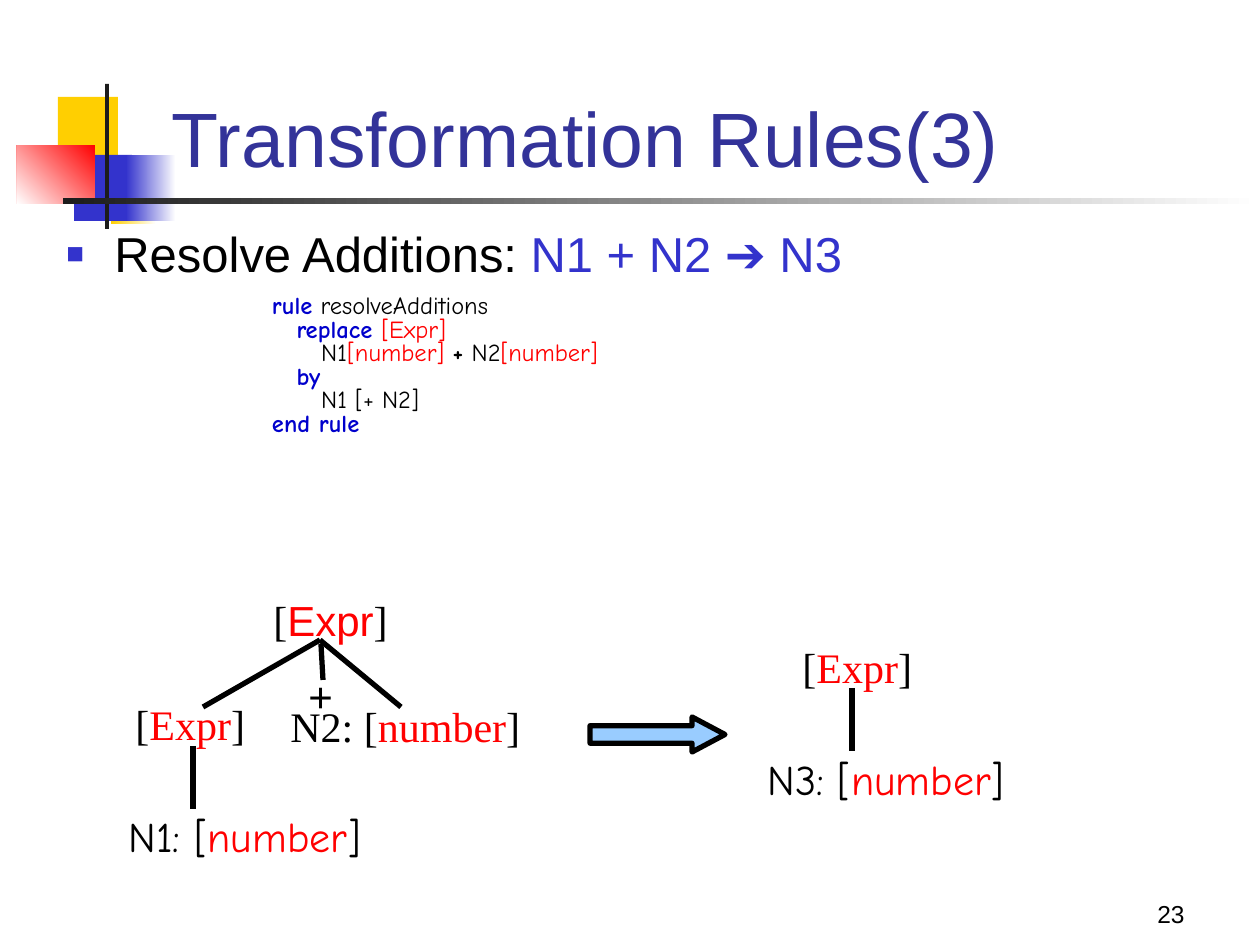
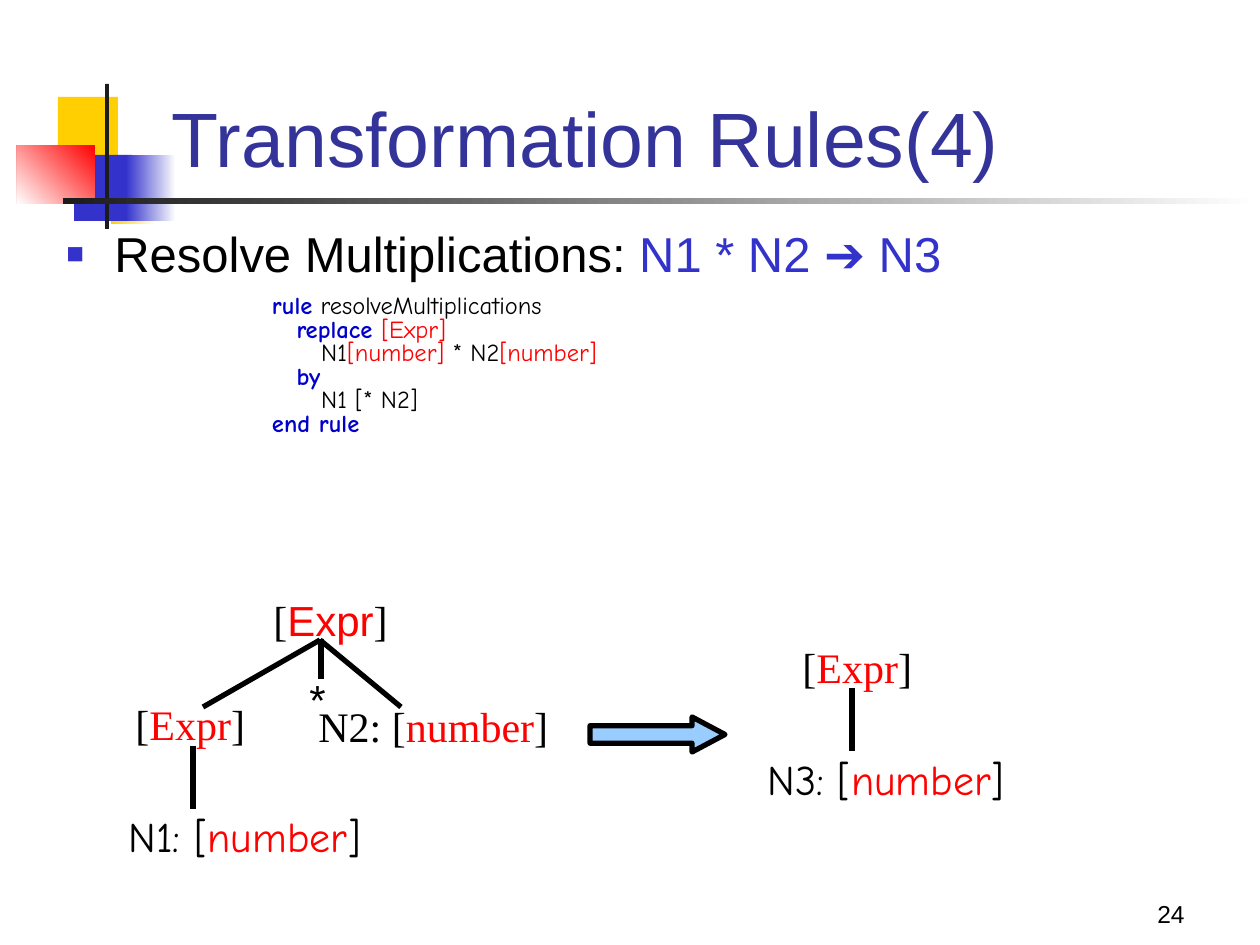
from dataclasses import dataclass
from typing import NamedTuple

from lxml import etree
from pptx import Presentation
from pptx import util as u
from pptx.dml.color import RGBColor
from pptx.enum import shapes, text
from pptx.oxml import ns

PX_PER_INCH = 126
ARIAL, COMIC, TIMES = "Arial", "Comic Neue", "Times New Roman"

BLACK = RGBColor(0x00, 0x00, 0x00)
WHITE = RGBColor(0xFF, 0xFF, 0xFF)
CHARCOAL = RGBColor(0x1C, 0x1C, 0x1C)
YELLOW = RGBColor(0xFF, 0xCF, 0x01)
RED = RGBColor(0xFF, 0x00, 0x00)
BLUE = RGBColor(0x33, 0x33, 0xCC)
TITLE_BLUE = RGBColor(0x33, 0x33, 0x99)
KEYWORD_BLUE = RGBColor(0x00, 0x00, 0xCC)
ARROW_BLUE = RGBColor(0x99, 0xCC, 0xFF)


class Box(NamedTuple):
    left: int
    top: int
    width: int
    height: int


class Edge(NamedTuple):
    x1: int
    y1: int
    x2: int
    y2: int


class Span(NamedTuple):
    text: str
    color: RGBColor | None = None
    bold: bool | None = None
    font: str | None = None


class Band(NamedTuple):
    box: Box
    color: RGBColor
    fade_to: RGBColor | None = None
    angle: int = 180


class Node(NamedTuple):
    box: Box
    prefix: str
    kind: str
    font: str = TIMES
    kind_font: str | None = None


@dataclass(frozen=True)
class Rule:
    number: int
    title: str
    heading: str
    name: str
    symbol: str
    symbol_bold: bool
    symbol_box: Box
    stem: Edge
    second_left: int


BANDS = (
    Band(Box(58, 97, 60, 66), YELLOW),
    Band(Box(111, 159, 45, 65), WHITE, YELLOW),
    Band(Box(74, 155, 58, 66), BLUE),
    Band(Box(126, 155, 50, 66), WHITE, BLUE),
    Band(Box(17, 145, 78, 59), RED, WHITE, 225),
    Band(Box(105, 84, 4, 145), CHARCOAL),
    Band(Box(63, 198, 1197, 6), WHITE, CHARCOAL),
)
TITLE_BOX = Box(159, 16, 1073, 173)
NUMBER_BOX = Box(935, 872, 262, 63)
HEADING_BOX = Box(54, 224, 1171, 69)
CODE_BOX = Box(272, 296, 499, 199)
ARROW_BOX = Box(590, 717, 135, 35)
BULLET_INDENT = 48

NODES = (
    Node(Box(790, 635, 135, 63), "", "Expr"),
    Node(Box(755, 747, 262, 63), "N3: ", "number", COMIC),
    Node(Box(261, 588, 140, 63), "", "Expr", kind_font=ARIAL),
    Node(Box(123, 692, 135, 63), "", "Expr"),
    Node(Box(116, 804, 257, 63), "N1: ", "number", COMIC),
)
EDGES = (
    Edge(852, 688, 852, 751),
    Edge(320, 640, 203, 707),
    Edge(193, 746, 193, 809),
    Edge(320, 640, 401, 707),
)
RULES = (
    Rule(23, "Transformation Rules(3)", "Resolve Additions: ", "resolveAdditions",
         "+", True, Box(296, 664, 59, 63), Edge(321, 644, 323, 680), 278),
    Rule(24, "Transformation Rules(4)", "Resolve Multiplications: ", "resolveMultiplications",
         "*", False, Box(297, 667, 59, 63), Edge(321, 639, 321, 679), 306),
)


def px(length: int) -> int:
    return round(length * u.Inches(1) / PX_PER_INCH)


def scaled(lengths: tuple[int, ...]) -> list[int]:
    return [px(length) for length in lengths]


def fill_para(para, spans: list[Span], font: str, size: int,
              color: RGBColor = BLACK, spacing: float | None = None) -> None:
    if spacing:
        para.line_spacing = spacing
    para.font.name = font
    para.font.size = u.Pt(size)
    para.font.color.rgb = color
    for span in spans:
        run = para.add_run()
        run.text = span.text
        if span.color is not None:
            run.font.color.rgb = span.color
        if span.bold:
            run.font.bold = True
        if span.font:
            run.font.name = span.font


def add_text_frame(page, box: Box, wrap: bool = True):
    frame = page.shapes.add_textbox(*scaled(box)).text_frame
    frame.word_wrap = wrap
    return frame


def add_shape(page, kind, box: Box):
    shape = page.shapes.add_shape(kind, *scaled(box))
    shape.shadow.inherit = False
    return shape


def add_band(page, band: Band) -> None:
    shape = add_shape(page, shapes.MSO_SHAPE.RECTANGLE, band.box)
    shape.line.fill.background()
    if band.fade_to is None:
        shape.fill.solid()
        shape.fill.fore_color.rgb = band.color
        return
    shape.fill.gradient()
    shape.fill.gradient_angle = band.angle
    for stop, color in zip(shape.fill.gradient_stops, (band.color, band.fade_to)):
        stop.color.rgb = color


def add_edge(page, edge: Edge) -> None:
    line = page.shapes.add_connector(shapes.MSO_CONNECTOR.STRAIGHT, *scaled(edge))
    line.line.color.rgb = BLACK
    line.line.width = u.Pt(3)
    etree.SubElement(line.element.spPr, ns.qn("a:effectLst"))


def add_node(page, node: Node) -> None:
    frame = add_text_frame(page, node.box, wrap=False)
    frame.auto_size = text.MSO_AUTO_SIZE.SHAPE_TO_FIT_TEXT
    spans = [Span(node.prefix + "["), Span(node.kind, RED, font=node.kind_font), Span("]")]
    fill_para(frame.paragraphs[0], spans, node.font, 24)


def add_title(page, title: str) -> None:
    holder = page.shapes.title
    holder.left, holder.top, holder.width, holder.height = scaled(TITLE_BOX)
    holder.element.getparent().append(holder.element)
    frame = holder.text_frame
    frame.auto_size = text.MSO_AUTO_SIZE.NONE
    frame.vertical_anchor = text.MSO_ANCHOR.BOTTOM
    para = frame.paragraphs[0]
    para.alignment = text.PP_ALIGN.LEFT
    fill_para(para, [Span(title)], ARIAL, 44, TITLE_BLUE)


def add_number(page, number: int) -> None:
    frame = add_text_frame(page, NUMBER_BOX)
    frame.vertical_anchor = text.MSO_ANCHOR.BOTTOM
    para = frame.paragraphs[0]
    para.alignment = text.PP_ALIGN.RIGHT
    fill_para(para, [Span(str(number))], ARIAL, 14)


def add_bullet(para) -> None:
    properties = para._p.get_or_add_pPr()
    properties.set("marL", str(px(BULLET_INDENT)))
    properties.set("indent", str(-px(BULLET_INDENT)))
    color = etree.SubElement(properties, ns.qn("a:buClr"))
    etree.SubElement(color, ns.qn("a:srgbClr"), val=str(BLUE))
    etree.SubElement(properties, ns.qn("a:buSzPct"), val="60000")
    etree.SubElement(properties, ns.qn("a:buFont"), typeface=ARIAL)
    etree.SubElement(properties, ns.qn("a:buChar"), char="■")


def add_heading(page, rule: Rule) -> None:
    para = add_text_frame(page, HEADING_BOX).paragraphs[0]
    add_bullet(para)
    spans = [Span(rule.heading), Span(f"N1 {rule.symbol} N2 ➔ N3", BLUE)]
    fill_para(para, spans, ARIAL, 28, spacing=0.9)


def keyword(word: str) -> Span:
    return Span(word, KEYWORD_BLUE, True)


def code_lines(rule: Rule) -> list[list[Span]]:
    number = Span("[number]", RED)
    return [
        [keyword("rule"), Span(f" {rule.name}")],
        [Span("   "), keyword("replace "), Span("[Expr]", RED)],
        [Span("      N1"), number, Span(" "), Span(rule.symbol, bold=rule.symbol_bold),
         Span(" N2"), number],
        [Span("   "), keyword("by")],
        [Span(f"      N1 [{rule.symbol} N2]")],
        [keyword("end rule")],
    ]


def add_code(page, rule: Rule) -> None:
    frame = add_text_frame(page, CODE_BOX)
    frame.margin_left = frame.margin_top = frame.margin_right = frame.margin_bottom = 0
    for index, spans in enumerate(code_lines(rule)):
        para = frame.add_paragraph() if index else frame.paragraphs[0]
        fill_para(para, spans, COMIC, 14, spacing=0.8)


def add_arrow(page) -> None:
    arrow = add_shape(page, shapes.MSO_SHAPE.RIGHT_ARROW, ARROW_BOX)
    arrow.adjustments[0] = 0.5
    arrow.adjustments[1] = 0.94
    arrow.fill.solid()
    arrow.fill.fore_color.rgb = ARROW_BLUE
    arrow.line.color.rgb = BLACK
    arrow.line.width = u.Pt(3)


def add_trees(page, rule: Rule) -> None:
    second = Node(Box(rule.second_left, 694, 255, 63), "N2: ", "number")
    for node in (*NODES, second):
        add_node(page, node)
    for edge in (*EDGES, rule.stem):
        add_edge(page, edge)
    symbol = add_text_frame(page, rule.symbol_box)
    fill_para(symbol.paragraphs[0], [Span(rule.symbol)], ARIAL, 24)


def add_rule_page(deck, rule: Rule) -> None:
    page = deck.slides.add_slide(deck.slide_layouts.get_by_name("Title Only"))
    for band in BANDS:
        add_band(page, band)
    add_title(page, rule.title)
    add_number(page, rule.number)
    add_heading(page, rule)
    add_code(page, rule)
    add_arrow(page)
    add_trees(page, rule)


def main() -> None:
    deck = Presentation()
    deck.slide_width, deck.slide_height = px(1260), px(945)
    for rule in RULES:
        add_rule_page(deck, rule)
    deck.save("out.pptx")


if __name__ == "__main__":
    main()
